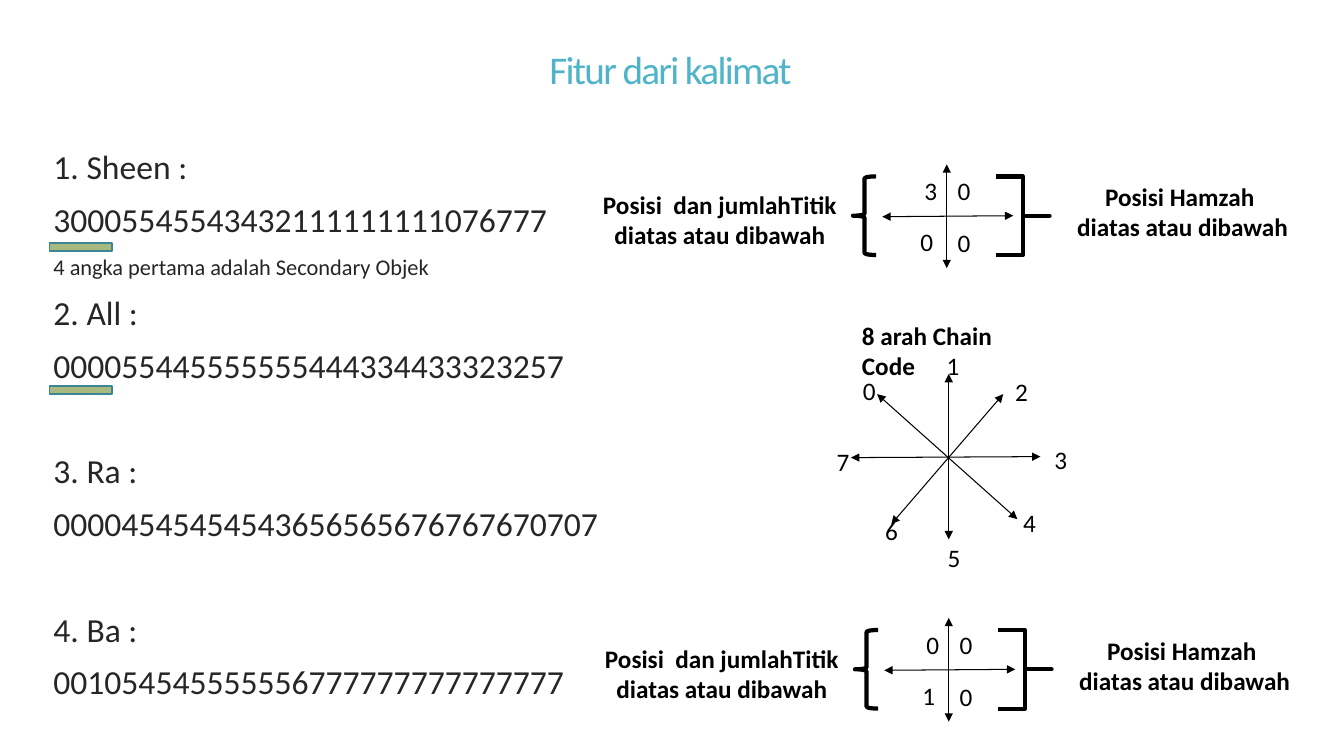
"""Build the slide on sentence features and chain codes."""
from lxml import etree
from pptx import Presentation
from pptx.dml.color import RGBColor
from pptx.enum.shapes import MSO_CONNECTOR, MSO_SHAPE
from pptx.enum.text import MSO_ANCHOR, MSO_AUTO_SIZE, PP_ALIGN
from pptx.oxml.ns import qn
from pptx.util import Inches, Pt

LEFT, CENTER = PP_ALIGN.LEFT, PP_ALIGN.CENTER
TOP, MIDDLE = MSO_ANCHOR.TOP, MSO_ANCHOR.MIDDLE
NO_FIT = MSO_AUTO_SIZE.NONE
STRAIGHT = MSO_CONNECTOR.STRAIGHT
RECT = MSO_SHAPE.RECTANGLE
LEFT_BRACE, RIGHT_BRACE = MSO_SHAPE.LEFT_BRACE, MSO_SHAPE.RIGHT_BRACE

COLORS = {"title": "50B4C8", "body": "262626", "ink": "000000",
          "marker": "A8B97F", "marker_line": "3B8594"}
FONT = "Calibri"

TITLE = "Fitur dari kalimat"
# text, size, space before
BODY = [
    ("1. Sheen :", 24, 0),
    ("30005545543432111111111076777", 24, 13),
    ("4 angka pertama adalah Secondary Objek", 16, 13),
    ("2. All :", 24, 13),
    ("000055445555555444334433323257", 24, 13),
    ("3. Ra :", 24, 51),
    ("00004545454543656565676767670707", 24, 13),
    ("4. Ba :", 24, 51),
    ("001054545555556777777777777777", 24, 13),
]
MARKER_TOPS = [2.41, 3.83]

DOT_LABEL = ["Posisi  dan jumlahTitik", "diatas atau dibawah"]
HAMZAH_LABEL = ["Posisi Hamzah ", "diatas atau dibawah"]
QUADRANT_SPOTS = [(9.07, 1.69), (9.4, 1.69), (9.03, 2.2), (9.4, 2.21)]
QUADRANT_AXES = [(8.75, 2.15, 10.05, 2.14), (9.39, 1.63, 9.39, 2.66)]
QUADRANTS = [("3000", 0, 0), ("0010", 0.02, 4.5)]

CHAIN_TITLE = "8 arah Chain Code"
CHAIN_AXES = [(8.44, 4.54, 10.32, 4.53), (9.41, 3.71, 9.41, 5.35),
              (8.7, 3.91, 10.09, 5.15), (9.95, 3.91, 8.84, 5.2)]
CHAIN_SPOTS = [(8.46, 3.67), (9.29, 3.43), (9.97, 3.68), (10.36, 4.36),
               (10.05, 4.98), (9.3, 5.33), (8.68, 5.06), (8.2, 4.38)]


def rgb(name):
    return RGBColor.from_string(COLORS[name])


def write(p, text, size=18, color="ink", bold=False, align=LEFT,
          before=0, line=None, spacing=None):
    p.alignment = align
    p.space_before = Pt(before)
    if line:
        p.line_spacing = line
    r = p.add_run()
    r.text = text
    r.font.name, r.font.size, r.font.bold = FONT, Pt(size), bold
    r.font.color.rgb = rgb(color)
    if spacing:
        r.font._element.set("spc", str(spacing))


def add_label(s, lines, x, y, w, h, **fmt):
    tf = s.shapes.add_textbox(*map(Inches, (x, y, w, h))).text_frame
    tf.word_wrap = True
    for i, text in enumerate(lines):
        write(tf.add_paragraph() if i else tf.paragraphs[0], text, **fmt)


def add_outline(s, kind, x, y, w, h, line="ink", width=3, fill=None):
    sp = s.shapes.add_shape(kind, *map(Inches, (x, y, w, h)))
    sp.shadow.inherit = False
    if fill:
        sp.fill.solid()
        sp.fill.fore_color.rgb = rgb(fill)
    else:
        sp.fill.background()
    sp.line.color.rgb = rgb(line)
    sp.line.width = Pt(width)
    return sp


def add_axis(s, ends):
    axis = s.shapes.add_connector(STRAIGHT, *map(Inches, ends))
    axis.line.color.rgb = rgb("ink")
    axis.line.width = Pt(0.75)
    ln = axis.line._get_or_add_ln()
    for tag in ("a:headEnd", "a:tailEnd"):
        etree.SubElement(ln, qn(tag)).set("type", "triangle")
    etree.SubElement(axis._element.spPr, qn("a:effectLst"))


def place(sp, x, y, w, h, anchor):
    sp.left, sp.top, sp.width, sp.height = map(Inches, (x, y, w, h))
    tf = sp.text_frame
    tf.auto_size = NO_FIT
    tf.vertical_anchor = anchor
    return tf


def add_quadrant(s, digits, dx, dy):
    for x1, y1, x2, y2 in QUADRANT_AXES:
        add_axis(s, (x1 + dx, y1 + dy, x2 + dx, y2 + dy))
    for digit, (x, y) in zip(digits, QUADRANT_SPOTS):
        add_label(s, [digit], x + dx, y + dy, 0.33, 0.4)
    brace = add_outline(s, RIGHT_BRACE, 9.88 + dx, 1.75 + dy, 0.53, 0.78)
    brace.adjustments[0] = 0
    add_outline(s, LEFT_BRACE, 8.46 + dx, 1.75 + dy, 0.23, 0.78)
    add_label(s, HAMZAH_LABEL, 10.53 + dx, 1.75 + dy, 2.4, 0.71,
              bold=True, align=CENTER)
    add_label(s, DOT_LABEL, 5.82 + dx, 1.83 + dy, 2.64, 0.71,
              bold=True, align=CENTER)


def add_chain(s):
    for ends in CHAIN_AXES:
        add_axis(s, ends)
    for digit, (x, y) in enumerate(CHAIN_SPOTS):
        add_label(s, [str(digit)], x, y, 0.33, 0.4)
    add_label(s, [CHAIN_TITLE], 8.45, 3.13, 1.62, 0.3, bold=True)


def main():
    prs = Presentation()
    prs.slide_width, prs.slide_height = Inches(13.33), Inches(7.5)
    s = prs.slides.add_slide(prs.slide_layouts[1])

    tf = place(s.shapes.title, 0.8, 0.31, 11.7, 0.82, MIDDLE)
    write(tf.paragraphs[0], TITLE, size=28, color="title", align=CENTER,
          line=0.85, spacing=-120)

    tf = place(s.placeholders[1], 0.38, 1.46, 12.55, 5.69, TOP)
    for i, (text, size, before) in enumerate(BODY):
        p = tf.add_paragraph() if i else tf.paragraphs[0]
        pPr = p._p.get_or_add_pPr()
        pPr.set("marL", str(Inches(0.05)))
        pPr.set("indent", "0")
        etree.SubElement(pPr, qn("a:buNone"))
        write(p, text, size=size, color="body", before=before, line=0.85)

    for top in MARKER_TOPS:
        add_outline(s, RECT, 0.49, top, 0.62, 0.08, line="marker_line",
                    width=1, fill="marker")
    for digits, dx, dy in QUADRANTS:
        add_quadrant(s, digits, dx, dy)
    add_chain(s)
    prs.save("out.pptx")


if __name__ == "__main__":
    main()
